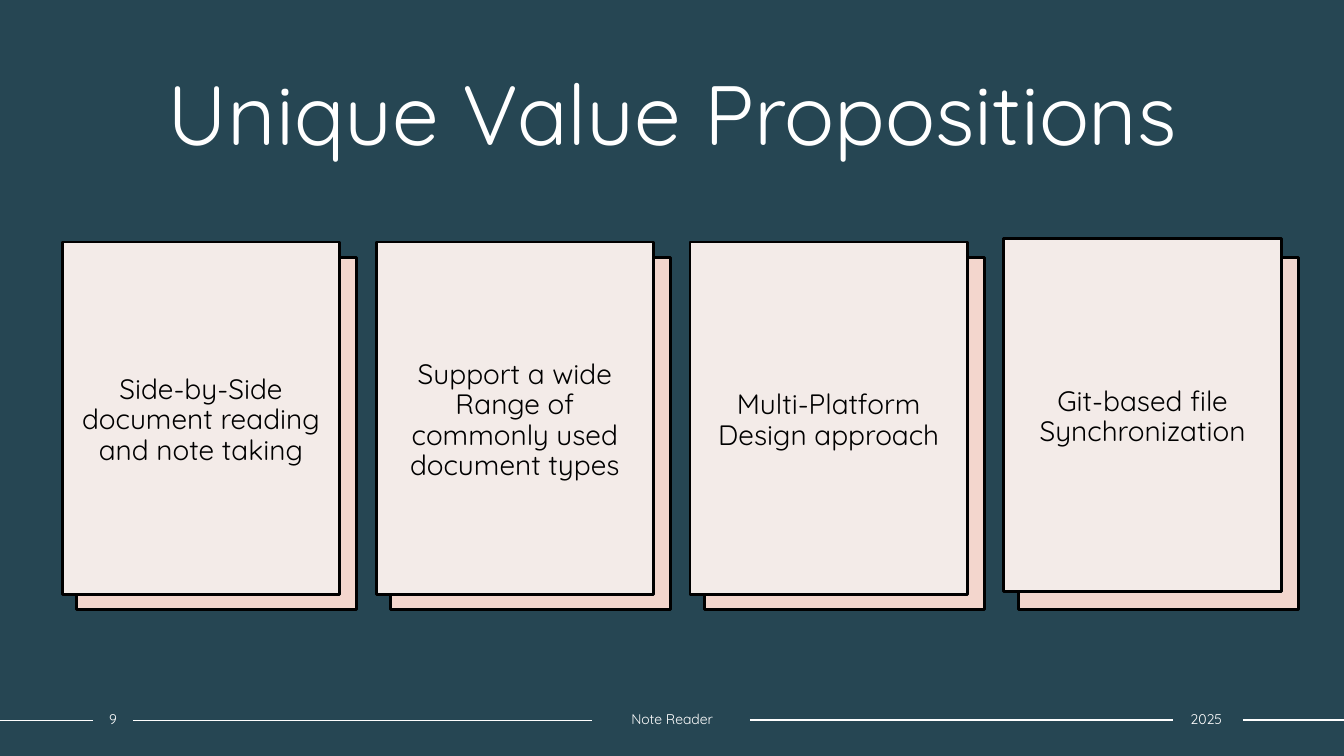
from dataclasses import dataclass

from lxml import etree
from pptx import Presentation
from pptx.dml.color import RGBColor
from pptx.enum.shapes import MSO_CONNECTOR, MSO_SHAPE
from pptx.enum.text import MSO_ANCHOR, PP_ALIGN
from pptx.oxml.ns import qn
from pptx.util import Cm, Pt

STRAIGHT = MSO_CONNECTOR.STRAIGHT
RECTANGLE = MSO_SHAPE.RECTANGLE
TOP, MIDDLE = MSO_ANCHOR.TOP, MSO_ANCHOR.MIDDLE
CENTER = PP_ALIGN.CENTER


@dataclass(frozen=True)
class Theme:
    font: str = "Quicksand"
    background: RGBColor = RGBColor(0x26, 0x46, 0x53)
    light: RGBColor = RGBColor(0xFF, 0xFF, 0xFF)
    dark: RGBColor = RGBColor(0x00, 0x00, 0x00)
    card: RGBColor = RGBColor(0xF3, 0xEB, 0xE8)
    card_back: RGBColor = RGBColor(0xF3, 0xD6, 0xCD)
    title_size: int = 60
    card_size: int = 20
    footer_size: int = 10
    card_border: int = 2
    rule_width: int = 1


THEME = Theme()
SLIDE_WIDTH, SLIDE_HEIGHT = 33.87, 19.05

# Text and the lift of each card above the row, in cm
CARDS = [
    ("Side-by-Side document reading and note taking", 0),
    ("Support a wide Range of commonly used document types", 0),
    ("Multi-Platform Design approach", 0),
    ("Git-based file Synchronization", 0.08),
]
# Text, left and width of each footer label, in cm
FOOTER_LABELS = [("9", 2.34, 1.02), ("Note Reader", 14.91, 4.06), ("2025", 29.51, 1.78)]
# Start, end and height within the footer of each rule, in cm
FOOTER_RULES = [
    (0, 2.34, 0.38),
    (3.35, 14.91, 0.38),
    (18.9, 29.57, 0.36),
    (31.32, SLIDE_WIDTH, 0.36),
]


def write_text(holder, text, size, color, anchor, margins, line_spacing=None):
    """Set one centred paragraph; margins are left, top, right, bottom in cm."""
    frame = holder.text_frame
    frame.text = text
    frame.word_wrap = True
    frame.vertical_anchor = anchor
    (frame.margin_left, frame.margin_top,
     frame.margin_right, frame.margin_bottom) = map(Cm, margins)
    paragraph = frame.paragraphs[0]
    paragraph.alignment = CENTER
    if line_spacing:
        paragraph.line_spacing = line_spacing
    font = paragraph.runs[0].font
    font.name, font.size = THEME.font, Pt(size)
    font.color.rgb = color


def add_title(slide, text, left, top, width, height):
    title = slide.shapes.add_textbox(Cm(left), Cm(top), Cm(width), Cm(height))
    write_text(title, text, THEME.title_size, THEME.light, TOP, (0.25, 0.13, 0.25, 0.13))


def add_panel(slide, left, top, width, height, fill):
    panel = slide.shapes.add_shape(RECTANGLE, Cm(left), Cm(top), Cm(width), Cm(height))
    panel.shadow.inherit = False
    panel.fill.solid()
    panel.fill.fore_color.rgb = fill
    panel.line.color.rgb = THEME.dark
    panel.line.width = Pt(THEME.card_border)
    return panel


def add_cards(slide, left, top, width, height):
    """Spread the cards evenly over the box, each with an offset back panel."""
    card_width, back_width = 6.99, 7.06
    offset_x, offset_y = 0.36, 0.38
    card_height = height - offset_y
    pitch = (width - offset_x - back_width) / (len(CARDS) - 1)
    for index, (text, lift) in enumerate(CARDS):
        card_left = left + index * pitch
        add_panel(slide, card_left + offset_x, top + offset_y,
                  back_width, card_height, THEME.card_back)
        card = add_panel(slide, card_left, top - lift, card_width, card_height, THEME.card)
        write_text(card, text, THEME.card_size, THEME.dark, MIDDLE,
                   (0.25, 0.25, 0.25, 0.13), line_spacing=0.9)


def add_footer(slide, left, top, height):
    # Rules between the labels
    for start, end, drop in FOOTER_RULES:
        y = Cm(top + drop)
        rule = slide.shapes.add_connector(STRAIGHT, Cm(left + start), y, Cm(left + end), y)
        rule.line.color.rgb = THEME.light
        rule.line.width = Pt(THEME.rule_width)
        etree.SubElement(rule._element.spPr, qn("a:effectLst"))

    # Page number, deck name and year
    for text, start, width in FOOTER_LABELS:
        label = slide.shapes.add_textbox(Cm(left + start), Cm(top), Cm(width), Cm(height))
        write_text(label, text, THEME.footer_size, THEME.light, MIDDLE, (0, 0.13, 0, 0.13))


def main():
    deck = Presentation()
    deck.slide_width, deck.slide_height = Cm(SLIDE_WIDTH), Cm(SLIDE_HEIGHT)
    slide = deck.slides.add_slide(deck.slide_layouts[6])
    slide.background.fill.solid()
    slide.background.fill.fore_color.rgb = THEME.background

    add_title(slide, "Unique Value Propositions", left=3.18, top=1.42, width=27.53, height=2.82)
    add_cards(slide, left=1.57, top=6.1, width=31.15, height=9.27)
    add_footer(slide, left=0, top=17.78, height=0.69)
    deck.save("out.pptx")


if __name__ == "__main__":
    main()
